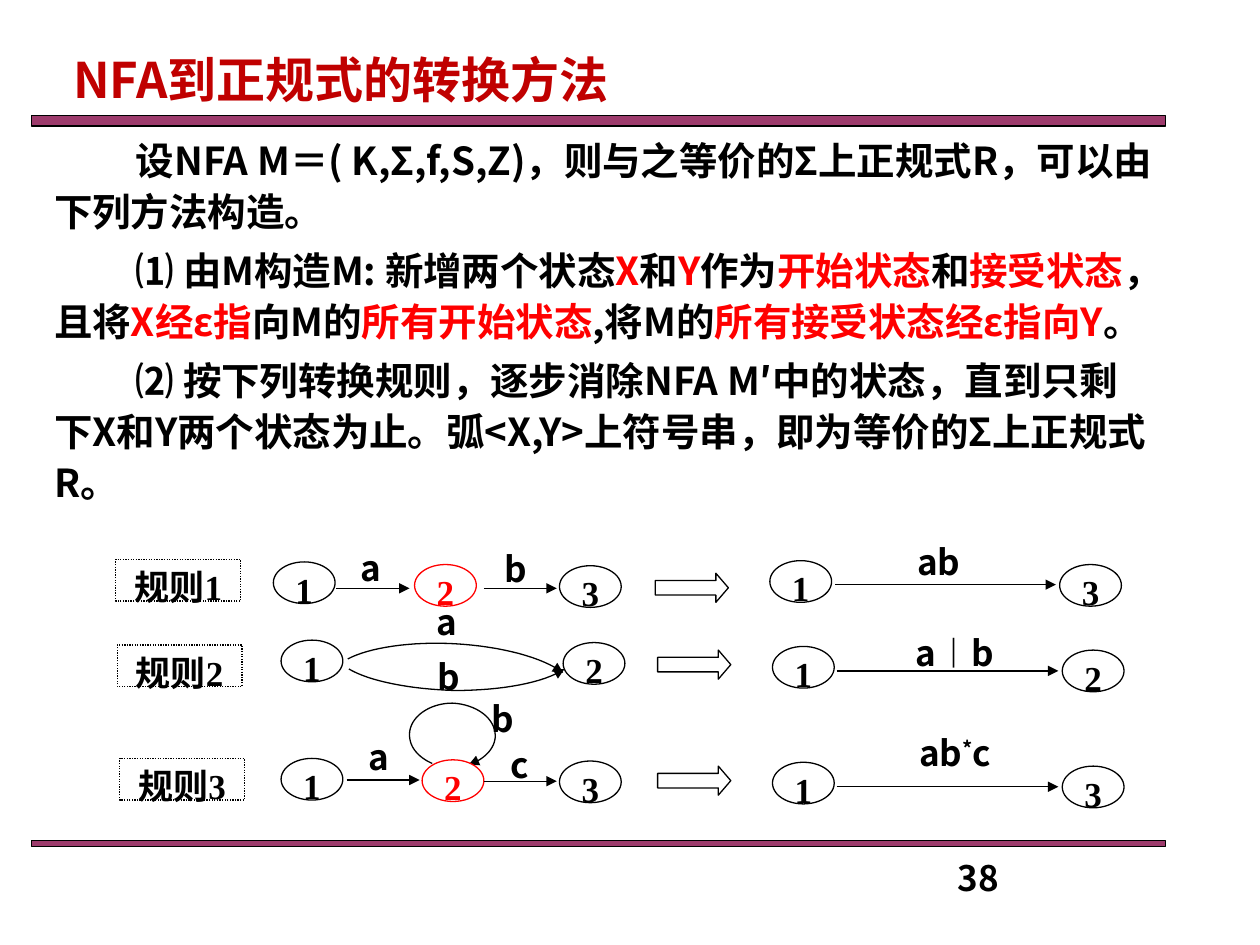
"""Build the slide on converting an NFA to a regular expression."""
import pptx
import pptx.dml.color
import pptx.enum.dml
import pptx.enum.shapes
import pptx.enum.text
import pptx.oxml.ns
import pptx.util
import lxml.etree

Pt = pptx.util.Pt
RGBColor = pptx.dml.color.RGBColor
SHAPES = pptx.enum.shapes.MSO_SHAPE
ALIGN = pptx.enum.text.PP_ALIGN
qn = pptx.oxml.ns.qn

BLACK, WHITE = RGBColor(0, 0, 0), RGBColor(255, 255, 255)
RED, DARK_RED = RGBColor(255, 0, 0), RGBColor(0xC0, 0, 0)
PLUM = RGBColor(0x99, 0x33, 0x66)
SANS, SERIF = "Noto Sans CJK SC", "Times New Roman"

TITLE = "NFA到正规式的转换方法"
BODY = [
    [("设NFA M＝( K,Σ,f,S,Z)，则与之等价的Σ上正规式R，可以由下列方法构造。", BLACK)],
    [("⑴ 由M构造M: 新增两个状态", BLACK), ("X", RED), ("和", BLACK), ("Y", RED),
     ("作为", BLACK), ("开始状态", RED), ("和", BLACK), ("接受状态", RED),
     ("，且将", BLACK), ("X经ε指", RED), ("向M的", BLACK), ("所有开始状态", RED),
     (",将M的", BLACK), ("所有接受状态经ε指向Y", RED), ("。", BLACK)],
    [("⑵ 按下列转换规则，逐步消除NFA M′中的状态，直到只剩下X和Y两个状态为止。"
      "弧<X,Y>上符号串，即为等价的Σ上正规式R。", BLACK)],
]
BARS = [(66.2, 5.8), (480.2, 3.6)]
RULES = [
    {"tag": ("规则1", 66.2, 319.7), "arrow": (374.4, 327.6),
     "nodes": [("1", 156.2, 321.1, BLACK), ("2", 236.9, 322.6, RED), ("3", 319.7, 323.3, BLACK),
               ("1", 439.9, 320.4, BLACK), ("3", 605.5, 322.6, BLACK)],
     "edges": [(192.2, 234, 336.2), (276.5, 318.2, 336.2), (477.4, 603.4, 334.1)],
     "curves": [],
     "labels": [("a", 192.2, 308.9, 39.6), ("b", 275, 309.6, 39.6), ("ab", 506.2, 305.3, 60.5)]},
    {"tag": ("规则2", 67, 368.6), "arrow": (375.8, 371.5),
     "nodes": [("1", 160.6, 365.8, BLACK), ("2", 321.8, 367.2, BLACK),
               ("1", 441.4, 369.4, BLACK), ("2", 607, 371.5, BLACK)],
     "edges": [(478.1, 604.8, 383.4)],
     "curves": [
         [(198.7, 376.6), (211, 370.1), (234.7, 366.5), (259.9, 367.9),
          (286.6, 369.4), (310.3, 375.8), (321.8, 384.5)],
         [(199.4, 382.3), (211.7, 389.5), (234.7, 393.8), (259.9, 394.6),
          (286.6, 394.6), (311, 390.2), (322.6, 382.3)]],
     "labels": [("a", 235.4, 339.8, 39.6), ("b", 236.9, 370.8, 39.6),
                ("a︱b", 506.2, 357.1, 79.2)]},
    {"tag": ("规则3", 68.4, 433.4), "arrow": (375.8, 437.8),
     "nodes": [("1", 160.6, 433.4, BLACK), ("2", 241.2, 434.2, RED), ("3", 319.7, 434.9, BLACK),
               ("1", 441.4, 435.6, BLACK), ("3", 607, 437.8, BLACK)],
     "edges": [(198, 239.8, 445.7), (276.5, 318.2, 446.4), (478.1, 604.8, 449.6)],
     "curves": [
         [(247, 436.3), (239, 432.7), (234, 427), (234, 419.8), (234, 409.7),
          (245.5, 401.8), (258.5, 401.8), (272.2, 402.5), (283, 410.4), (283, 420.5),
          (283, 427.7), (276.5, 434.2), (267.8, 437)]],
     "labels": [("a", 196.6, 416.9, 39.6), ("b", 267.8, 395.3, 39.6),
                ("c", 277.2, 421.2, 39.6), ("ab*c", 506.2, 414.7, 79.2)]},
]
NODE_SIZE, TAG_SIZE, ARROW_SIZE = (35.3, 23.8), (71.3, 23.8), (41.8, 16.6)
LABEL_HEIGHT = 23.8
CURVE_STEPS = 16


def apply(target, values):
    for name, value in values.items():
        setattr(target, name, value)


def add_run(paragraph, text, font_name=SANS, size=20, color=BLACK):
    run = paragraph.add_run()
    run.text = text
    apply(run.font, {"name": font_name, "size": Pt(size), "bold": True})
    run.font.color.rgb = color
    east_asian = lxml.etree.Element(qn("a:ea"), typeface=SANS)
    run.font._element.find(qn("a:latin")).addnext(east_asian)
    return run


def prepare(shape, alignment=ALIGN.CENTER, **values):
    frame = shape.text_frame
    apply(frame, {"word_wrap": True, "auto_size": pptx.enum.text.MSO_AUTO_SIZE.NONE,
                  "vertical_anchor": pptx.enum.text.MSO_ANCHOR.TOP, **values})
    frame.paragraphs[0].alignment = alignment
    return frame.paragraphs[0]


def add_box(slide, left, top, width, height):
    return slide.shapes.add_textbox(Pt(left), Pt(top), Pt(width), Pt(height))


def add_preset(slide, kind, place, size, fill=WHITE, line=BLACK):
    shape = slide.shapes.add_shape(kind, *map(Pt, place + size))
    shape.shadow.inherit = False
    shape.fill.solid()
    shape.fill.fore_color.rgb = fill
    shape.line.color.rgb = line
    shape.line.width = Pt(0.75)
    return shape


def add_arrowhead(shape):
    shape.line.color.rgb = BLACK
    shape.line.width = Pt(0.75)
    line = shape._element.spPr.find(qn("a:ln"))
    lxml.etree.SubElement(line, qn("a:tailEnd"), type="triangle")


def bezier_points(controls):
    points = [controls[0]]
    for first in range(0, len(controls) - 1, 3):
        segment = controls[first:first + 4]
        for step in range(1, CURVE_STEPS + 1):
            t = step / CURVE_STEPS
            weights = ((1 - t) ** 3, 3 * t * (1 - t) ** 2, 3 * t * t * (1 - t), t ** 3)
            points.append(tuple(sum(w * point[axis] for w, point in zip(weights, segment))
                                for axis in (0, 1)))
    return [(Pt(x), Pt(y)) for x, y in points]


def add_curve(slide, controls):
    points = bezier_points(controls)
    builder = slide.shapes.build_freeform(*points[0])
    builder.add_line_segments(points[1:], close=False)
    curve = builder.convert_to_shape()
    curve.shadow.inherit = False
    curve.fill.background()
    add_arrowhead(curve)


def add_edge(slide, start, end, y):
    edge = slide.shapes.add_connector(
        pptx.enum.shapes.MSO_CONNECTOR.STRAIGHT, Pt(start), Pt(y), Pt(end), Pt(y))
    add_arrowhead(edge)
    lxml.etree.SubElement(edge._element.spPr, qn("a:effectLst"))


def add_label(slide, text, left, top, width):
    paragraph = prepare(add_box(slide, left, top, width, LABEL_HEIGHT))
    if text.isalpha():
        add_run(paragraph, text)
        return
    for symbol in text:
        run = add_run(paragraph, symbol, SERIF if symbol == "︱" else SANS)
        if symbol == "*":
            run.font._element.set("baseline", "30000")


def add_rule(slide, rule):
    text, *place = rule["tag"]
    tag = add_preset(slide, SHAPES.RECTANGLE, tuple(place), TAG_SIZE)
    tag.line.dash_style = pptx.enum.dml.MSO_LINE.ROUND_DOT
    add_run(prepare(tag), text, SERIF)
    for controls in rule["curves"]:
        add_curve(slide, controls)
    for text, left, top, color in rule["nodes"]:
        node = add_preset(slide, SHAPES.OVAL, (left, top), NODE_SIZE, line=color)
        margins = dict.fromkeys(("margin_left", "margin_right", "margin_top", "margin_bottom"), 0)
        add_run(prepare(node, **margins), text, SERIF, color=color)
    arrow = add_preset(slide, SHAPES.RIGHT_ARROW, rule["arrow"], ARROW_SIZE)
    arrow.adjustments[1] = 0.43
    for edge in rule["edges"]:
        add_edge(slide, *edge)
    for label in rule["labels"]:
        add_label(slide, *label)


def add_body(slide):
    frame = add_box(slide, 23.8, 72, 642.2, 219.6).text_frame
    frame.word_wrap = True
    for index, runs in enumerate(BODY):
        paragraph = frame.add_paragraph() if index else frame.paragraphs[0]
        apply(paragraph, {"line_spacing": Pt(29.2), "space_before": Pt(4.4 if index else 0)})
        properties = paragraph._element.get_or_add_pPr()
        properties.set("marL", "0")
        properties.set("indent", str(Pt(46.8)))
        for text, color in runs:
            add_run(paragraph, text, size=22, color=color)


def main():
    presentation = pptx.Presentation()
    apply(presentation, {"slide_width": Pt(720), "slide_height": Pt(540)})
    slide = presentation.slides.add_slide(presentation.slide_layouts[5])
    title = slide.shapes.title
    apply(title, {"left": Pt(8.6), "top": Pt(24.5), "width": Pt(372.2), "height": Pt(41)})
    add_run(prepare(title), TITLE, size=28, color=DARK_RED)
    for top, height in BARS:
        bar = add_preset(slide, SHAPES.RECTANGLE, (18, top), (648, height), PLUM)
        color = bar._element.spPr.find(qn("a:solidFill"))[0]
        lxml.etree.SubElement(color, qn("a:alpha"), val="96000")
    add_body(slide)
    for rule in RULES:
        add_rule(slide, rule)
    add_run(prepare(add_box(slide, 540, 486, 167.8, 19.4), ALIGN.LEFT), "38")
    presentation.save("out.pptx")


if __name__ == "__main__":
    main()
